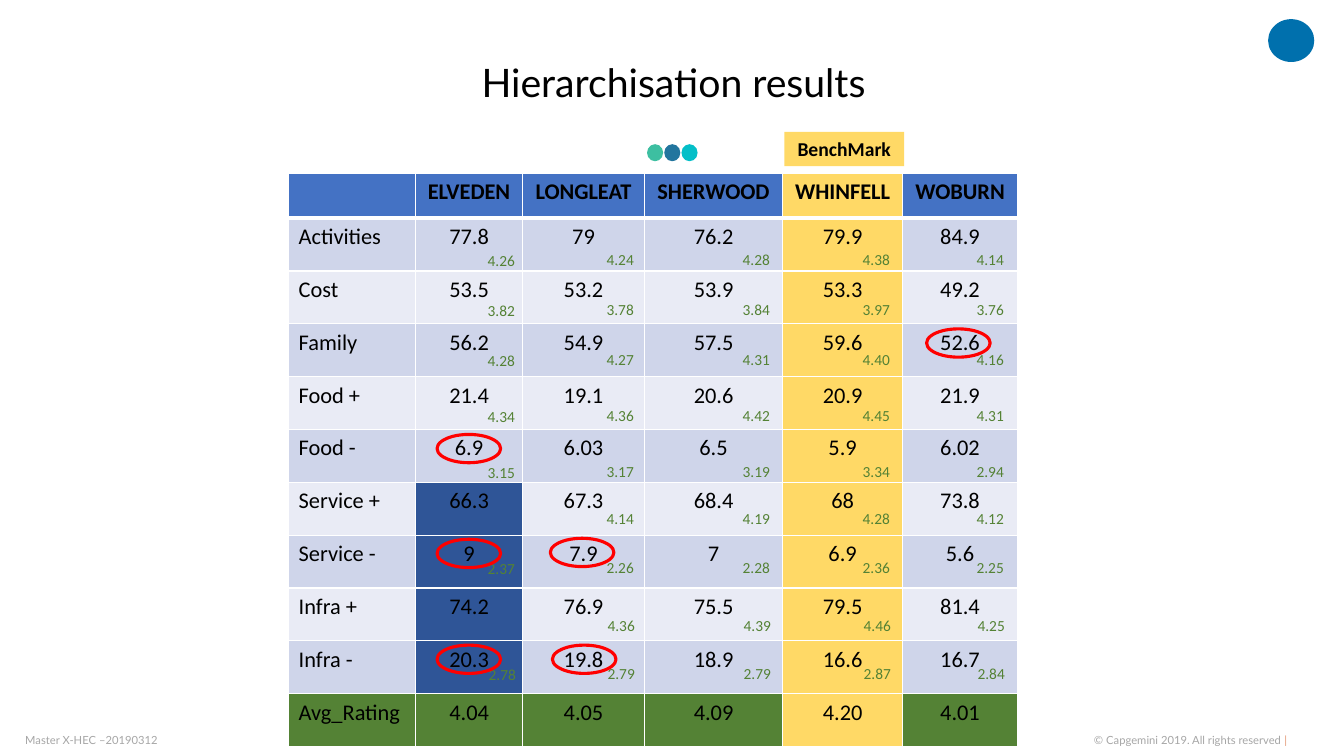
from pptx import Presentation
from pptx.dml.color import RGBColor
from pptx.enum.shapes import MSO_SHAPE as SHAPE
from pptx.enum.text import MSO_ANCHOR as ANCHOR, PP_ALIGN as ALIGN
from pptx.oxml import parse_xml
from pptx.oxml.ns import nsdecls
from pptx.util import Pt

RATING_GREEN = "548235"
BENCHMARK_YELLOW = "FFD966"


def style(paragraph, size, color, font="Calibri", bold=False, align=ALIGN.LEFT):
    paragraph.alignment = align
    for run in paragraph.runs:
        run.font.name, run.font.size, run.font.bold = font, Pt(size), bold
        run.font.color.rgb = RGBColor.from_string(color)


def add_shape(kind, left, top, width, height, fill=None, line=None):
    """Add a shape without shadow; fill and line are hex colours or None."""
    shape = slide.shapes.add_shape(kind, Pt(left), Pt(top), Pt(width), Pt(height))
    shape.shadow.inherit = False
    for part, color in ((shape.fill, fill), (shape.line.fill, line)):
        if color:
            part.solid()
            part.fore_color.rgb = RGBColor.from_string(color)
        else:
            part.background()
    return shape


prs = Presentation()
prs.slide_width, prs.slide_height = Pt(960), Pt(540)
slide = prs.slides.add_slide(prs.slide_layouts[5])

# Title
title = slide.shapes.title
title.left, title.top, title.width, title.height = Pt(32.2), Pt(19.4), Pt(897.8), Pt(82)
title.text_frame.text = "Hierarchisation results"
title.text_frame.vertical_anchor = ANCHOR.MIDDLE
title.text_frame.paragraphs[0].line_spacing = 0.9
style(title.text_frame.paragraphs[0], 28, "000000", "Lato", align=ALIGN.CENTER)

# Footer
footers = [
    ("© Capgemini 2019. All rights reserved ", 709.9, 209.5, ALIGN.RIGHT),
    ("Master X-HEC –20190312", 18, 371.5, ALIGN.LEFT),
]
for text, left, width, align in footers:
    footer = slide.shapes.add_textbox(Pt(left), Pt(523.9), Pt(width), Pt(9.4)).text_frame
    footer.margin_left = footer.margin_right = footer.margin_top = footer.margin_bottom = 0
    footer.word_wrap = True
    footer.vertical_anchor = ANCHOR.MIDDLE
    footer.text = text
    if align == ALIGN.RIGHT:
        footer.paragraphs[0].add_run().text = "|"
    style(footer.paragraphs[0], 8, "A6A6A6", "Lato", align=align)
    if align == ALIGN.RIGHT:
        footer.paragraphs[0].runs[1].font.color.rgb = RGBColor.from_string("E39774")

# Corner mark and dots
add_shape(SHAPE.OVAL, 905.8, 13.7, 33, 30.6, "0070AD")
for i, color in enumerate(("3DBFA1", "22759E", "04BFC8")):
    add_shape(SHAPE.OVAL, 462.2 + 12.3 * i, 103, 11.5, 12.2, color)

# Benchmark tag
benchmark = add_shape(SHAPE.RECTANGLE, 560.2, 94.3, 85.7, 24.5, BENCHMARK_YELLOW)
benchmark.text_frame.text = "BenchMark"
benchmark.text_frame.vertical_anchor = ANCHOR.MIDDLE
style(benchmark.text_frame.paragraphs[0], 14, "000000", bold=True, align=ALIGN.CENTER)

# Results table
results = [
    ("", "ELVEDEN", "LONGLEAT", "SHERWOOD", "WHINFELL", "WOBURN"),
    ("Activities", "77.8", "79", "76.2", "79.9", "84.9"),
    ("Cost", "53.5", "53.2", "53.9", "53.3", "49.2"),
    ("Family", "56.2", "54.9", "57.5", "59.6", "52.6"),
    ("Food +", "21.4", "19.1", "20.6", "20.9", "21.9"),
    ("Food -", "6.9", "6.03", "6.5", "5.9", "6.02"),
    ("Service +", "66.3", "67.3", "68.4", "68", "73.8"),
    ("Service -", "9", "7.9", "7", "6.9", "5.6"),
    ("Infra +", "74.2", "76.9", "75.5", "79.5", "81.4"),
    ("Infra -", "20.3", "19.8", "18.9", "16.6", "16.7"),
    ("Avg_Rating", "4.04", "4.05", "4.09", "4.20", "4.01"),
]
column_widths = (90.7, 76.4, 87.1, 98.7, 85.7, 82.1)
last_row = len(results) - 1
table = slide.shapes.add_table(
    len(results), len(column_widths), Pt(206.2), Pt(123.8), Pt(520.7), Pt(409.6)
).table
for column, width in zip(table.columns, column_widths):
    column.width = Pt(width)

for r, values in enumerate(results):
    table.rows[r].height = Pt(37.75 if r else 32.1)
    for c, value in enumerate(values):
        cell = table.cell(r, c)
        cell.text_frame.text = value
        style(cell.text_frame.paragraphs[0], 16, "000000", bold=r == 0,
              align=ALIGN.CENTER if c else ALIGN.LEFT)
        if c == 4:
            fill = BENCHMARK_YELLOW
        elif r == 0:
            fill = "4472C4"
        elif r == last_row:
            fill = RATING_GREEN
        elif c == 1 and r >= 6:
            fill = "2F5597"
        else:
            fill = "CFD5EA" if r % 2 else "E9EBF5"
        borders = {"lnL": 1, "lnR": 1, "lnT": 3 if r == 1 else 1, "lnB": 1 if r else 3}
        for side, weight in borders.items():
            cell._tc.get_or_add_tcPr().append(parse_xml(
                f'<a:{side} {nsdecls("a")} w="{Pt(weight)}"><a:solidFill>'
                f'<a:srgbClr val="FFFFFF"/></a:solidFill></a:{side}>'))
        cell.fill.solid()
        cell.fill.fore_color.rgb = RGBColor.from_string(fill)

# Ratings beside the scores; two Elveden cells have none
rating_places = [(341.3, 0.7), (426.2, 0), (523.4, 0), (609.1, 0), (690.5, 0)]
ratings = [
    (0, 175, ("4.26", "4.24", "4.28", "4.38", "4.14")),
    (0, 211, ("3.82", "3.78", "3.84", "3.97", "3.76")),
    (0, 246.8, ("4.28", "4.27", "4.31", "4.40", "4.16")),
    (0, 286.6, ("4.34", "4.36", "4.42", "4.45", "4.31")),
    (0, 326.7, ("3.15", "3.17", "3.19", "3.34", "2.94")),
    (0, 360, (None, "4.14", "4.19", "4.28", "4.12")),
    (0, 395.3, ("2.37", "2.26", "2.28", "2.36", "2.25")),
    (0.7, 436.3, (None, "4.36", "4.39", "4.46", "4.25")),
    (0.7, 470.9, ("2.78", "2.79", "2.79", "2.87", "2.84")),
]
for shift, top, row_ratings in ratings:
    for (left, drop), value in zip(rating_places, row_ratings):
        if value is None:
            continue
        rating = slide.shapes.add_textbox(
            Pt(left + shift), Pt(top + drop), Pt(36), Pt(20.6)).text_frame
        rating.word_wrap = True
        rating.text = value
        style(rating.paragraphs[0], 11, RATING_GREEN)

# Red rings around the weak scores
weak_scores = [(312.2, 310.3), (312.2, 385.2), (312.2, 460.8),
               (393.1, 384.5), (394.6, 460.8), (661.9, 234.9)]
for left, top in weak_scores:
    ring = add_shape(SHAPE.OVAL, left, top, 45.4, 20.2, line="FF0000")
    ring.line.width = Pt(2.25)

prs.save("out.pptx")
